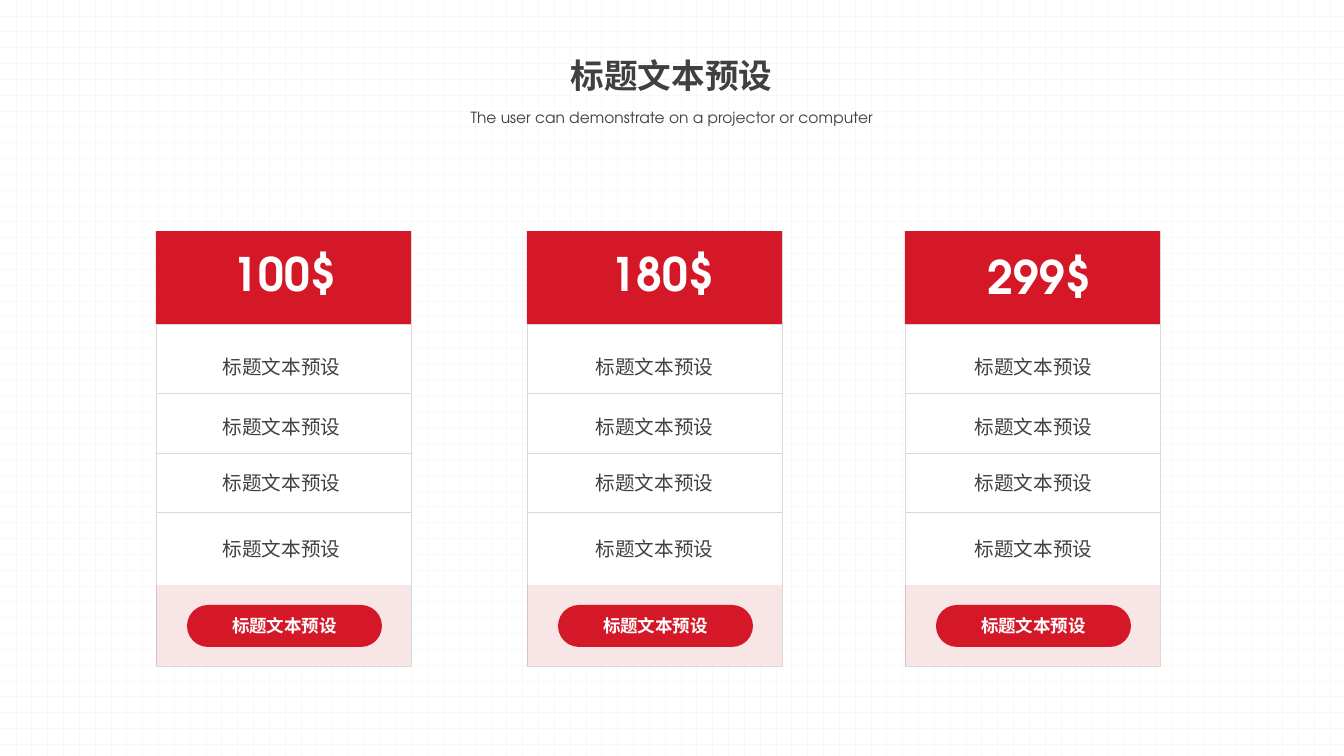
from dataclasses import dataclass

from lxml import etree
from pptx import Presentation
from pptx.dml.color import RGBColor
from pptx.enum.dml import MSO_PATTERN
from pptx.enum.shapes import MSO_CONNECTOR, MSO_SHAPE
from pptx.enum.text import MSO_ANCHOR, MSO_AUTO_SIZE, PP_ALIGN
from pptx.oxml.ns import qn
from pptx.util import Pt

RECTANGLE = MSO_SHAPE.RECTANGLE
PILL = MSO_SHAPE.ROUNDED_RECTANGLE
STRAIGHT = MSO_CONNECTOR.STRAIGHT
DOT_GRID = MSO_PATTERN.DOTTED_GRID
LEFT, CENTER = PP_ALIGN.LEFT, PP_ALIGN.CENTER
TOP, MIDDLE = MSO_ANCHOR.TOP, MSO_ANCHOR.MIDDLE
FIT_SHAPE = MSO_AUTO_SIZE.SHAPE_TO_FIT_TEXT

PAGE_WIDTH, PAGE_HEIGHT = 1344, 756
EMU_PER_PX = 12192000 / PAGE_WIDTH


@dataclass(frozen=True)
class Theme:
    font: str = "TeX Gyre Adventor"
    white: str = "FFFFFF"
    grid: str = "F2F2F2"
    border: str = "D9D9D9"
    red: str = "D51827"
    tint: str = "C00000"
    ink: str = "404040"
    price_size: float = 33
    title_size: float = 24
    feature_size: float = 14
    button_size: float = 12.5
    subtitle_size: float = 11
    border_width: float = 0.5


THEME = Theme()
LABEL = "标题文本预设"
SUBTITLE = "The user can demonstrate on a projector or computer"

CARD_TOP, CARD_WIDTH, CARD_HEIGHT = 231, 255, 435
HEADER_HEIGHT = 93
FOOTER_TOP, FOOTER_HEIGHT = 585, 81
BUTTON_INDENT, BUTTON_TOP, BUTTON_WIDTH, BUTTON_HEIGHT = 31, 605, 195, 42
RULE_TOPS = (CARD_TOP + HEADER_HEIGHT, 393, 453, 512)
FEATURE_TOPS = (352, 412, 468, 534)
FEATURE_WIDTH, FEATURE_HEIGHT = 195, 29
PRICE_WIDTH, PRICE_HEIGHT = 126, 75

# card left, feature left, price left, price top, price
PLANS = (
    (156, 184, 233, 245, "100$"),
    (527, 557, 611, 245, "180$"),
    (905, 936, 988, 248, "299$"),
)


def px(*lengths):
    return [round(length * EMU_PER_PX) for length in lengths]


def rgb(color):
    return RGBColor.from_string(color)


def add_box(parent, kind, left, top, width, height, fill, border=None, opacity=100):
    box = parent.shapes.add_shape(kind, *px(left, top, width, height))
    box.shadow.inherit = False
    box.fill.solid()
    box.fill.fore_color.rgb = rgb(fill)
    if opacity < 100:
        color = box.element.spPr.find(f"{qn('a:solidFill')}/{qn('a:srgbClr')}")
        etree.SubElement(color, qn("a:alpha"), val=str(opacity * 1000))
    if border:
        box.line.color.rgb = rgb(border)
        box.line.width = Pt(THEME.border_width)
    else:
        box.line.fill.background()
    return box


def add_rule(parent, left, top, width):
    rule = parent.shapes.add_connector(STRAIGHT, *px(left, top, left + width, top))
    rule.line.color.rgb = rgb(THEME.border)
    rule.line.width = Pt(THEME.border_width)
    etree.SubElement(rule.element.spPr, qn("a:effectLst"))


def write_text(box, text, *, size, color=THEME.ink, bold=False, align=CENTER,
               anchor=TOP, wrap=True, inset=True, spacing=None, fit=None):
    frame = box.text_frame
    frame.word_wrap = wrap
    frame.vertical_anchor = anchor
    if fit is not None:
        frame.auto_size = fit
    if not inset:
        frame.margin_left = frame.margin_top = 0
        frame.margin_right = frame.margin_bottom = 0
    para = frame.paragraphs[0]
    para.alignment = align
    if spacing:
        para.line_spacing = spacing
    span = para.add_run()
    span.text = text
    span.font.name = THEME.font
    span.font.size = Pt(size)
    span.font.bold = bold
    span.font.color.rgb = rgb(color)


def add_text(parent, left, top, width, height, text, **text_format):
    box = parent.shapes.add_textbox(*px(left, top, width, height))
    write_text(box, text, **text_format)


def add_card(page, left, feature_left, price_left, price_top, price):
    card = page.shapes.add_group_shape()
    add_box(card, RECTANGLE, left, CARD_TOP, CARD_WIDTH, CARD_HEIGHT,
            THEME.white, border=THEME.border)
    add_box(card, RECTANGLE, left, FOOTER_TOP, CARD_WIDTH, FOOTER_HEIGHT,
            THEME.tint, opacity=10)
    for top in RULE_TOPS:
        add_rule(card, left, top, CARD_WIDTH)
    add_box(card, RECTANGLE, left, CARD_TOP, CARD_WIDTH, HEADER_HEIGHT, THEME.red)
    add_text(card, price_left, price_top, PRICE_WIDTH, PRICE_HEIGHT, price,
             size=THEME.price_size, color=THEME.white, bold=True, align=LEFT,
             inset=False)
    for top in FEATURE_TOPS:
        add_text(card, feature_left, top, FEATURE_WIDTH, FEATURE_HEIGHT, LABEL,
                 size=THEME.feature_size, anchor=MIDDLE, wrap=False, inset=False)
    button = add_box(card, PILL, left + BUTTON_INDENT, BUTTON_TOP,
                     BUTTON_WIDTH, BUTTON_HEIGHT, THEME.red)
    button.adjustments[0] = 0.5
    write_text(button, LABEL, size=THEME.button_size, color=THEME.white,
               bold=True, anchor=MIDDLE, wrap=False)


def add_background(page):
    fill = page.background.fill
    fill.patterned()
    fill.pattern = DOT_GRID
    fill.fore_color.rgb = rgb(THEME.grid)
    fill.back_color.rgb = rgb(THEME.white)
    add_box(page, RECTANGLE, 0, 0, PAGE_WIDTH, PAGE_HEIGHT, THEME.white, opacity=50)


def add_heading(page):
    heading = page.shapes.add_group_shape()
    add_text(heading, 539, 55, 265, 40, LABEL, size=THEME.title_size, bold=True,
             spacing=0.9)
    add_text(heading, 459, 103, 426, 29, SUBTITLE, size=THEME.subtitle_size,
             wrap=False, fit=FIT_SHAPE)


def main():
    deck = Presentation()
    deck.slide_width, deck.slide_height = px(PAGE_WIDTH, PAGE_HEIGHT)
    page = deck.slides.add_slide(deck.slide_layouts[6])
    add_background(page)
    for plan in PLANS:
        add_card(page, *plan)
    add_heading(page)
    deck.save("out.pptx")


if __name__ == "__main__":
    main()
